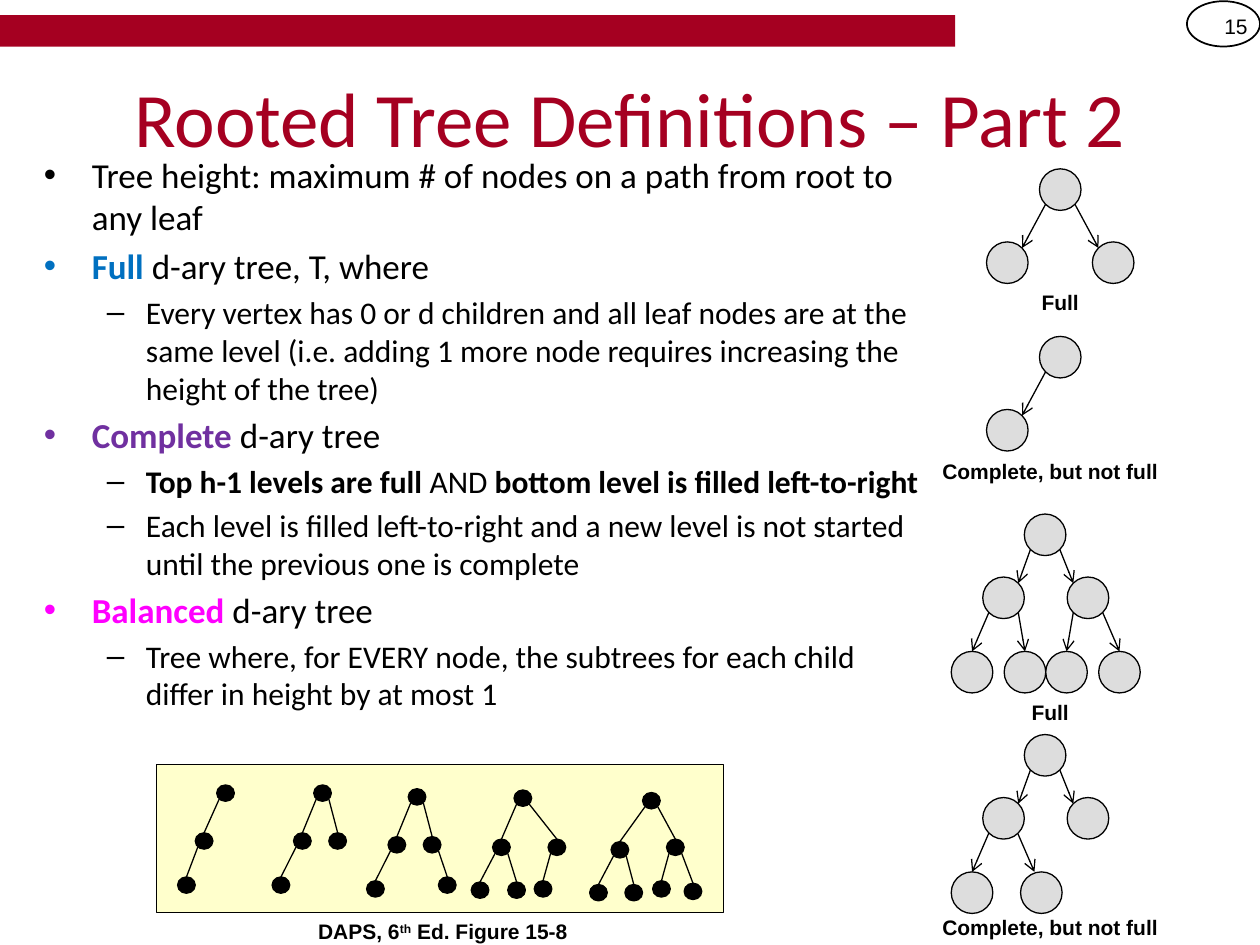
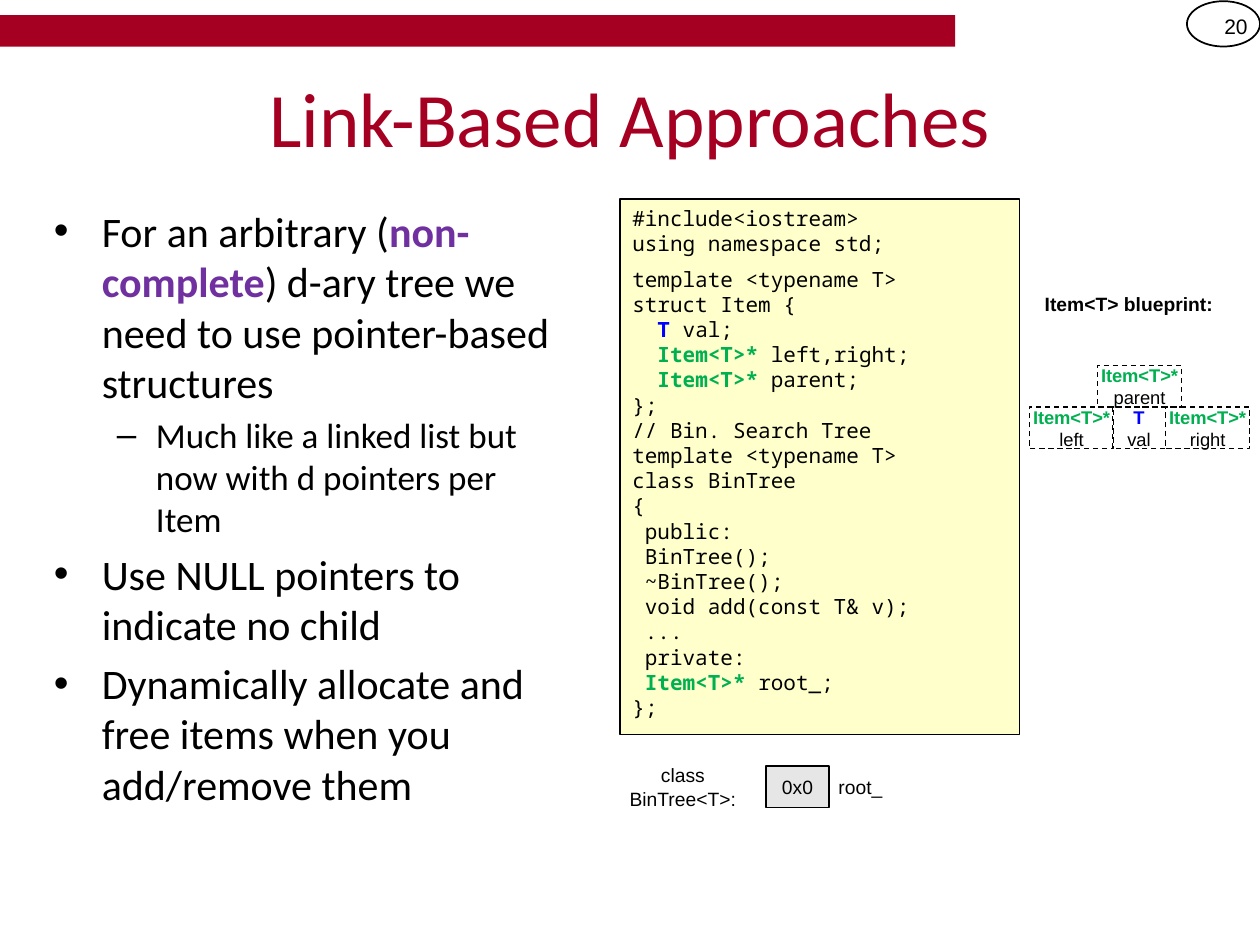
from math import sqrt

from lxml.etree import SubElement
from pptx import Presentation
from pptx.dml.color import RGBColor
from pptx.enum.dml import MSO_LINE as Dash
from pptx.enum.shapes import MSO_CONNECTOR as Cxn, MSO_SHAPE as Shape
from pptx.enum.text import MSO_ANCHOR as Anchor, PP_ALIGN as Align
from pptx.oxml.ns import qn
from pptx.util import Inches, Pt

BLACK, CRIMSON, CREAM, GRAY, PALE = "000000", "A50021", "FFFFCC", "DDDDDD", "E6E6E6"
PURPLE, GREEN = "7030A0", "00B050"
INSET = (0.1, 0.05, 0.1, 0.05)
TIGHT = (0, 0.05, 0, 0.05)
LEVELS = [("•", 0.38, -0.38), ("–", 0.81, -0.31)]


def rgb(value):
    return RGBColor.from_string(value)


def bold(text, color=BLACK):
    return text, {"bold": True, "color": color}


class Deck:
    body = {"name": "Calibri", "color": BLACK}
    label = {"name": "Arial", "size": 12, "color": BLACK}
    caption = {**label, "bold": True}
    code = {"name": "Noto Sans Mono", "size": 12, "color": BLACK}
    title = {"name": "Calibri", "size": 44, "color": CRIMSON}

    def __init__(self):
        self.prs = Presentation()
        self.prs.slide_width, self.prs.slide_height = Inches(10), Inches(7.5)
        self.s = None

    def slide(self, title, number):
        self.s = self.prs.slides.add_slide(self.prs.slide_layouts[5])
        self.shape(Shape.RECTANGLE, (0, 0.12, 7.58, 0.25), fill=CRIMSON, line=None)
        self.shape(Shape.OVAL, (9.42, 0.01, 0.58, 0.36), width=1)
        self.text((9.42, 0.01, 0.58, 0.4), [[number]], self.label, align=Align.RIGHT)
        sp = self.s.shapes.title
        sp.left, sp.top, sp.width, sp.height = map(Inches, (0.5, 0.3, 9, 1.25))
        self.fill_text(sp, [[title]], self.title)

    def shape(self, kind, box, fill=None, line=BLACK, width=0.75, dash=None):
        sp = self.s.shapes.add_shape(kind, *map(Inches, box))
        sp.shadow.inherit = False
        if fill:
            sp.fill.solid()
            sp.fill.fore_color.rgb = rgb(fill)
        else:
            sp.fill.background()
        if line:
            sp.line.color.rgb = rgb(line)
            sp.line.width = Pt(width)
            sp.line.dash_style = dash
        else:
            sp.line.fill.background()
        return sp

    def line(self, start, end, arrow=False):
        c = self.s.shapes.add_connector(Cxn.STRAIGHT, *map(Inches, (*start, *end)))
        c.line.color.rgb = rgb(BLACK)
        c.line.width = Pt(0.75)
        if arrow:
            SubElement(c.line._get_or_add_ln(), qn("a:tailEnd"), type="arrow")
        SubElement(c._element.spPr, qn("a:effectLst"))

    def runs(self, p, items, fmt):
        for item in items:
            text, extra = (item, {}) if isinstance(item, str) else item
            r = p.add_run()
            r.text = text
            for key, value in {**fmt, **extra}.items():
                if key == "color":
                    r.font.color.rgb = rgb(value)
                elif key == "baseline":
                    r._r.get_or_add_rPr().set(key, str(value))
                else:
                    setattr(r.font, key, Pt(value) if key == "size" else value)

    def fill_text(self, sp, paragraphs, fmt, align=Align.CENTER, anchor=Anchor.MIDDLE,
                  inset=INSET):
        tf = sp.text_frame
        tf.word_wrap = True
        tf.vertical_anchor = anchor
        sides = ("margin_left", "margin_top", "margin_right", "margin_bottom")
        for side, value in zip(sides, inset):
            setattr(tf, side, Inches(value))
        for i, items in enumerate(paragraphs):
            p = tf.add_paragraph() if i else tf.paragraphs[0]
            p.alignment = align
            p.space_before = Pt(0)
            self.runs(p, items, fmt)
        return tf

    def text(self, box, paragraphs, fmt, **kw):
        sp = self.s.shapes.add_textbox(*map(Inches, box))
        return self.fill_text(sp, paragraphs, fmt, **kw)

    def bullets(self, box, items, sizes):
        tf = self.text(box, [], self.body, anchor=Anchor.TOP)
        for i, (level, *texts) in enumerate(items):
            p = tf.add_paragraph() if i else tf.paragraphs[0]
            mark, margin, indent = LEVELS[level]
            pPr = p._p.get_or_add_pPr()
            pPr.set("marL", str(Inches(margin)))
            pPr.set("indent", str(Inches(indent)))
            SubElement(pPr, qn("a:buFont"), typeface="Arial")
            SubElement(pPr, qn("a:buChar"), char=mark)
            p.level = level
            p.space_before = Pt(0.2 * sizes[level] if i else 0)
            self.runs(p, texts, {**self.body, "size": sizes[level]})

    def tree(self, nodes, w=0.33, h=0.33, fill=GRAY, arrow=True):
        dx, dy = w / 2 * sqrt(0.5), h / 2 * sqrt(0.5)
        for i, (x, y) in nodes.items():
            self.shape(Shape.OVAL, (x, y, w, h), fill=fill)
            if i == 1:
                continue
            px, py = nodes[i // 2]
            side = 1 if i % 2 else -1
            start = px + w / 2 + side * dx, py + h / 2 + dy
            if arrow and i < 4:
                end = x + w / 2 - side * dx, y + h / 2 - dy
            else:
                end = x + w / 2, y
            self.line(start, end, arrow)

    def small_tree(self, nodes):
        self.tree(nodes, 0.14, 0.13, BLACK, False)

    def field(self, box, kind, name, color):
        sp = self.shape(Shape.RECTANGLE, box, dash=Dash.DASH)
        self.fill_text(sp, [[bold(kind, color)], [name]], {**self.label, "size": 10.5},
                       inset=TIGHT)


def tree_definitions(d):
    d.slide("Rooted Tree Definitions – Part 2", "15")
    d.bullets((0.25, 1.17, 7.18, 4.33), [
        (0, "Tree height: maximum # of nodes on a path from root to any leaf"),
        (0, bold("Full", "0070C0"), " d-ary tree, T, where"),
        (1, "Every vertex has 0 or d children and all leaf nodes are at the same level "
            "(i.e. adding 1 more node requires increasing the height of the tree)"),
        (0, bold("Complete", PURPLE), " d-ary tree"),
        (1, bold("Top h-1 levels are full "), "AND ",
         bold("bottom level is filled left-to-right")),
        (1, "Each level is filled left-to-right and a new level is not started "
            "until the previous one is complete"),
        (0, bold("Balanced", "FF00FF"), " d-ary tree"),
        (1, "Tree where, for EVERY node, the subtrees for each child differ in height "
            "by at most 1"),
    ], (20, 18))

    d.tree({1: (8.25, 1.34), 2: (7.83, 1.92), 3: (8.67, 1.92)})
    d.tree({1: (8.25, 2.67), 2: (7.83, 3.25)})
    for top in (4.08, 5.83):
        nodes = {1: (8.13, top), 2: (7.8, top + 0.5), 3: (8.47, top + 0.5)}
        leaves = (7.55, 7.97, 8.3, 8.72) if top < 5 else (7.55,)
        nodes.update({i: (x, top + 1.09) for i, x in enumerate(leaves, 4)})
        d.tree(nodes)
    d.line((8.08, 6.62), (8.21, 6.92), arrow=True)
    d.shape(Shape.OVAL, (8.1, 6.92, 0.33, 0.33), fill=GRAY)

    for x, y, w, name in [(7.83, 2.25, 1.17, "Full"),
                          (7.17, 3.59, 2.33, "Complete, but not full"),
                          (7.17, 5.5, 2.33, "Full"),
                          (7.17, 7.21, 2.33, "Complete, but not full")]:
        d.text((x, y, w, 0.3), [[name]], d.caption)

    d.shape(Shape.RECTANGLE, (1.24, 6.07, 4.5, 1.17), fill=CREAM)
    for nodes in [
        {1: (1.72, 6.23), 2: (1.55, 6.61), 4: (1.41, 6.96)},
        {1: (2.49, 6.23), 2: (2.33, 6.61), 3: (2.61, 6.61), 4: (2.16, 6.96)},
        {1: (3.24, 6.26), 2: (3.08, 6.64), 3: (3.36, 6.64), 4: (2.91, 6.99),
         7: (3.48, 6.96)},
        {1: (4.08, 6.27), 2: (3.91, 6.66), 3: (4.35, 6.66), 4: (3.74, 7),
         5: (4.03, 7), 6: (4.24, 6.99)},
        {1: (5.1, 6.29), 2: (4.85, 6.68), 3: (5.29, 6.66), 4: (4.68, 7.02),
         5: (4.96, 7.02), 6: (5.18, 6.99), 7: (5.43, 7.01)},
    ]:
        d.small_tree(nodes)
    d.text((1.75, 7.24, 3.53, 0.3),
           [["DAPS, 6", ("th", {"baseline": 30000}), " Ed. Figure 15-8"]], d.caption)


def link_based(d):
    d.slide("Link-Based Approaches", "20")
    d.bullets((0.33, 1.58, 4.17, 5.42), [
        (0, "For an arbitrary (", bold("non-complete", PURPLE),
         ") d-ary tree we need to use pointer-based structures"),
        (1, "Much like a linked list but now with d pointers per Item"),
        (0, "Use NULL pointers to indicate no child"),
        (0, "Dynamically allocate and free items when you add/remove them"),
    ], (24, 20))

    pointer = bold("Item<T>* ", GREEN)
    sp = d.shape(Shape.RECTANGLE, (4.92, 1.58, 3.17, 4.25), fill=CREAM)
    tf = d.fill_text(sp, [
        ["#include<iostream>"],
        ["using namespace std;"],
        ["template <typename T>"],
        ["struct Item {"],
        ["  ", bold("T ", "0000FF"), "val;"],
        ["  ", pointer, "left,right;"],
        ["  ", pointer, "parent;"],
        ["};"],
        ["// Bin. Search Tree"],
        ["template <typename T>"],
        ["class BinTree"],
        ["{"],
        [" public:"],
        [" BinTree();"],
        [" ~BinTree();"],
        [" void add(const T& v);"],
        [" ..."],
        [" private:"],
        [" ", pointer, "root_;"],
        ["};"],
    ], d.code, align=Align.LEFT, anchor=Anchor.TOP)
    tf.paragraphs[2].space_before = Pt(6)

    d.field((8.83, 3.23, 0.42, 0.33), "T", "val", "0000FF")
    for x, y, name in [(9.25, 3.23, "right"), (8.17, 3.23, "left"), (8.71, 2.9, "parent")]:
        d.field((x, y, 0.67, 0.33), "Item<T>*", name, GREEN)

    small = {**d.label, "size": 11}
    d.text((8.17, 2.25, 1.58, 0.33), [[bold("Item<T> blueprint:")]], small, inset=TIGHT)
    d.text((4.92, 6.08, 1, 0.33), [["class BinTree<T>:"]], small, inset=TIGHT)
    sp = d.shape(Shape.RECTANGLE, (6.08, 6.08, 0.5, 0.33), fill=PALE)
    d.fill_text(sp, [["0x0"]], small, inset=TIGHT)
    d.text((6.58, 6.08, 0.5, 0.33), [["root_"]], small, inset=TIGHT)


def main():
    d = Deck()
    tree_definitions(d)
    link_based(d)
    d.prs.save("out.pptx")


if __name__ == "__main__":
    main()
